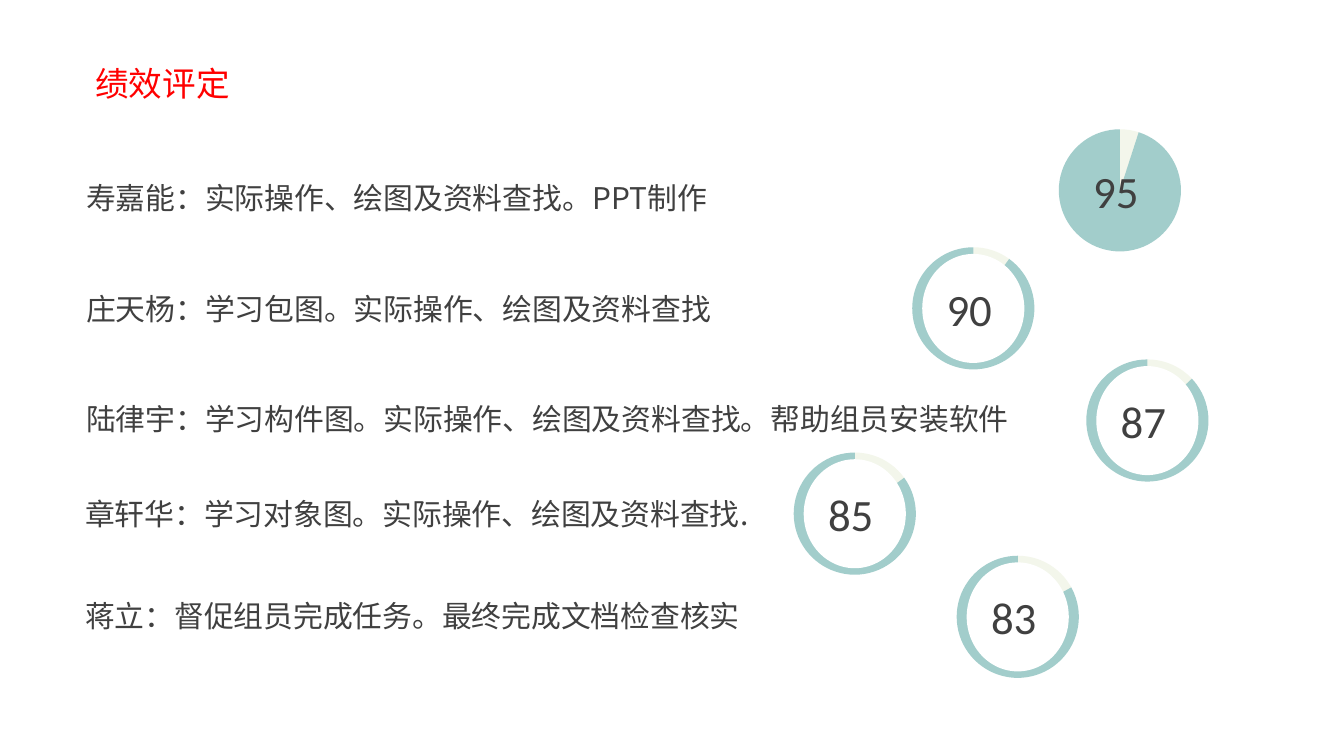
from lxml import etree
from pptx import Presentation
from pptx.chart.data import CategoryChartData
from pptx.dml.color import RGBColor
from pptx.enum.chart import XL_CHART_TYPE
from pptx.enum.shapes import MSO_SHAPE
from pptx.enum.text import MSO_ANCHOR, PP_ALIGN
from pptx.oxml import parse_xml
from pptx.oxml.ns import nsdecls, qn
from pptx.util import Cm, Pt

PIE = XL_CHART_TYPE.PIE
ELLIPSE = MSO_SHAPE.OVAL
TOP = MSO_ANCHOR.TOP
LEFT = PP_ALIGN.LEFT

COLORS = {"title": "FF0000", "text": "404040", "chart": "000000",
          "rest": "C3D69B", "score": "65ADA9", "hole": "FFFFFF"}
LATIN_FONT = "Calibri"
CHINESE_FONT = "Noto Sans CJK SC"
TITLE_ONLY = 5

# Name and duties: left, top, width, wraps
DUTIES = [
    ("寿嘉能：实际操作、绘图及资料查找。PPT制作", 1.45, 3.3, 12.12, True),
    ("庄天杨：学习包图。实际操作、绘图及资料查找", 1.45, 5.4, 12.24, False),
    ("陆律宇：学习构件图。实际操作、绘图及资料查找。帮助组员安装软件",
     1.45, 7.48, 17.88, False),
    ("章轩华：学习对象图。实际操作、绘图及资料查找.", 1.43, 9.27, 12.93, False),
    ("蒋立：督促组员完成任务。最终完成文档检查核实", 1.43, 11.2, 12.8, False),
]

# Score gauges: score, left, top, ring or full pie
GAUGES = [
    (95, 19.36, 2.09, False),
    (90, 16.59, 4.32, True),
    (87, 19.88, 6.44, True),
    (85, 14.35, 8.2, True),
    (83, 17.43, 10.15, True),
]


def color(name):
    return RGBColor.from_string(COLORS[name])


def format_text(text_frame, size, font_name, color_name, insets=(0.18, 0.09)):
    horizontal, vertical = insets
    text_frame.margin_left = text_frame.margin_right = Cm(horizontal)
    text_frame.margin_top = text_frame.margin_bottom = Cm(vertical)
    text_frame.vertical_anchor = TOP
    paragraph = text_frame.paragraphs[0]
    paragraph.alignment = LEFT
    paragraph.line_spacing = Pt(size * 1.2)
    for run in paragraph.runs:
        run.font.size = Pt(size)
        run.font.name = font_name
        run.font.color.rgb = color(color_name)
        # East Asian typeface
        latin = run.font._element.find(qn("a:latin"))
        latin.addnext(parse_xml(
            f'<a:ea {nsdecls("a")} typeface="{CHINESE_FONT}"/>'))


def add_title(slide, left, top, width, height):
    title = slide.shapes.title
    title.left, title.top = Cm(left), Cm(top)
    title.width, title.height = Cm(width), Cm(height)
    title.text_frame.text = "绩效评定"
    title.text_frame.word_wrap = False
    format_text(title.text_frame, 18, LATIN_FONT, "title", (0.25, 0.13))


def add_text(slide, text, left, top, width, height, size, font_name, wraps):
    box = slide.shapes.add_textbox(Cm(left), Cm(top), Cm(width), Cm(height))
    box.text_frame.text = text
    box.text_frame.word_wrap = wraps
    format_text(box.text_frame, size, font_name, "text")


def set_plot_layout(chart, x, y, width, height):
    plot_area = chart._chartSpace.chart.plotArea
    for layout in plot_area.findall(qn("c:layout")):
        plot_area.remove(layout)
    layout = etree.Element(qn("c:layout"))
    manual = etree.SubElement(layout, qn("c:manualLayout"))
    for tag, value in (("layoutTarget", "inner"), ("xMode", "edge"),
                       ("yMode", "edge"), ("x", x), ("y", y),
                       ("w", width), ("h", height)):
        etree.SubElement(manual, qn(f"c:{tag}")).set("val", str(value))
    plot_area.insert(0, layout)


def add_pie(slide, score, left, top, width, height):
    data = CategoryChartData()
    data.categories = ["1", "2"]
    data.add_series("Series 1", (100 - score, score))
    chart = slide.shapes.add_chart(
        PIE, Cm(left), Cm(top), Cm(width), Cm(height), data).chart
    chart.has_legend = False
    chart.has_title = False
    chart.font.size = Pt(10)
    chart.font.name = LATIN_FONT
    chart.font.color.rgb = color("chart")
    plot = chart.plots[0]
    plot.vary_by_categories = False
    for index, (name, opacity) in enumerate((("rest", 20), ("score", 60))):
        point_format = plot.series[0].points[index].format
        point_format.fill.solid()
        point_format.fill.fore_color.rgb = color(name)
        point_format.line.fill.background()
        hex_color = point_format._element.spPr.find(
            f"{qn('a:solidFill')}/{qn('a:srgbClr')}")
        etree.SubElement(hex_color, qn("a:alpha")).set(
            "val", str(opacity * 1000))
    set_plot_layout(chart, 0.18, 0.11, 0.64, 0.78)


def add_gauge(slide, score, left, top, is_ring):
    add_pie(slide, score, left, top, 3.61, 3.02)
    if is_ring:
        hole = slide.shapes.add_shape(
            ELLIPSE, Cm(left + 0.84), Cm(top + 0.48), Cm(1.93), Cm(2.06))
        hole.shadow.inherit = False
        hole.fill.solid()
        hole.fill.fore_color.rgb = color("hole")
        hole.line.fill.background()
    add_text(slide, str(score), left + 1.12, top + 0.91, 1.4, 1.22,
             24, LATIN_FONT, True)


def main():
    presentation = Presentation()
    # Widescreen, 16:9
    presentation.slide_width = Cm(25.4)
    presentation.slide_height = presentation.slide_width * 9 // 16
    slide = presentation.slides.add_slide(
        presentation.slide_layouts[TITLE_ONLY])

    add_title(slide, 1.55, 1.06, 3.05, 1.02)
    for text, left, top, width, wraps in DUTIES:
        add_text(slide, text, left, top, width, 0.86, 16, CHINESE_FONT, wraps)
    for gauge in GAUGES:
        add_gauge(slide, *gauge)

    presentation.save("out.pptx")


if __name__ == "__main__":
    main()
